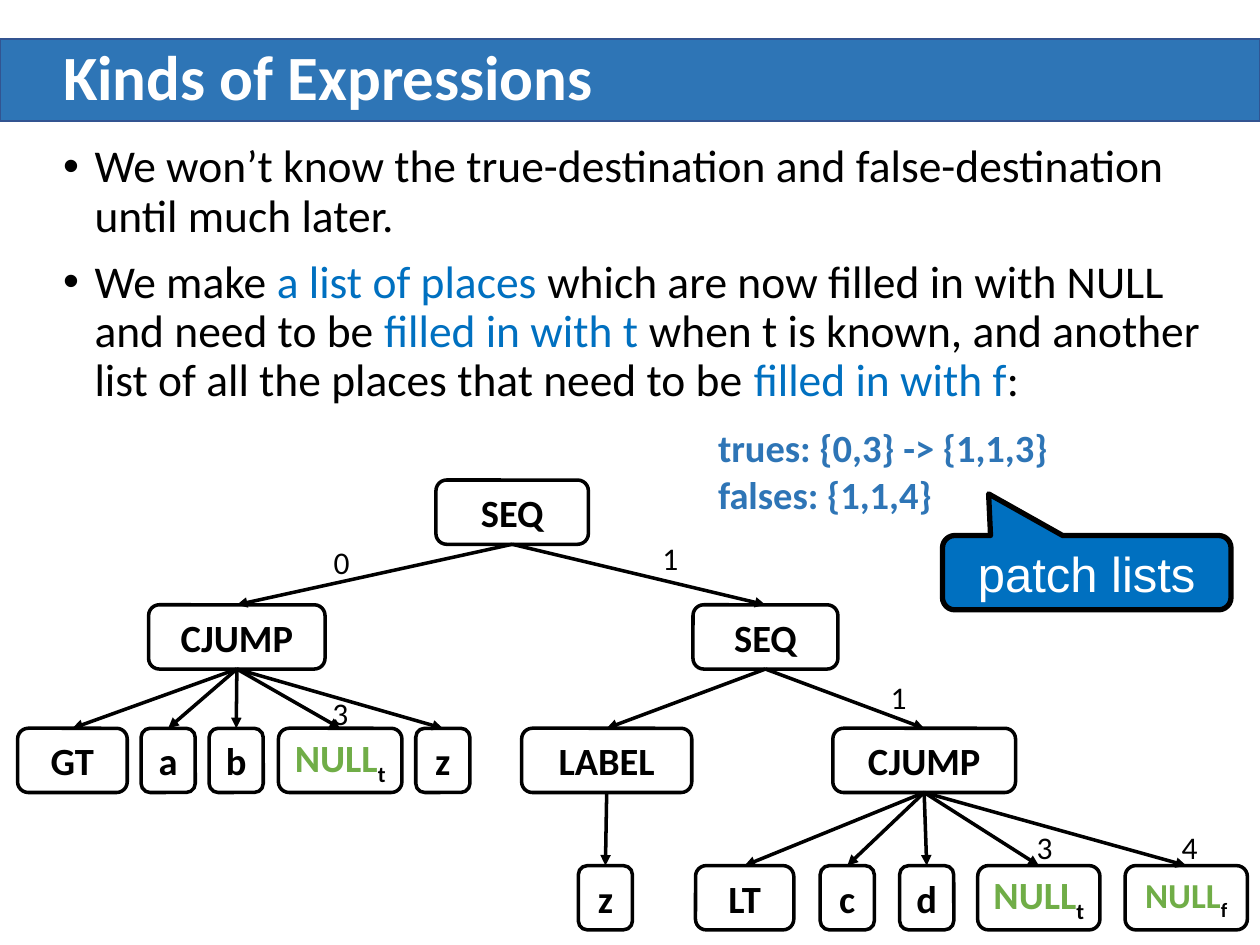
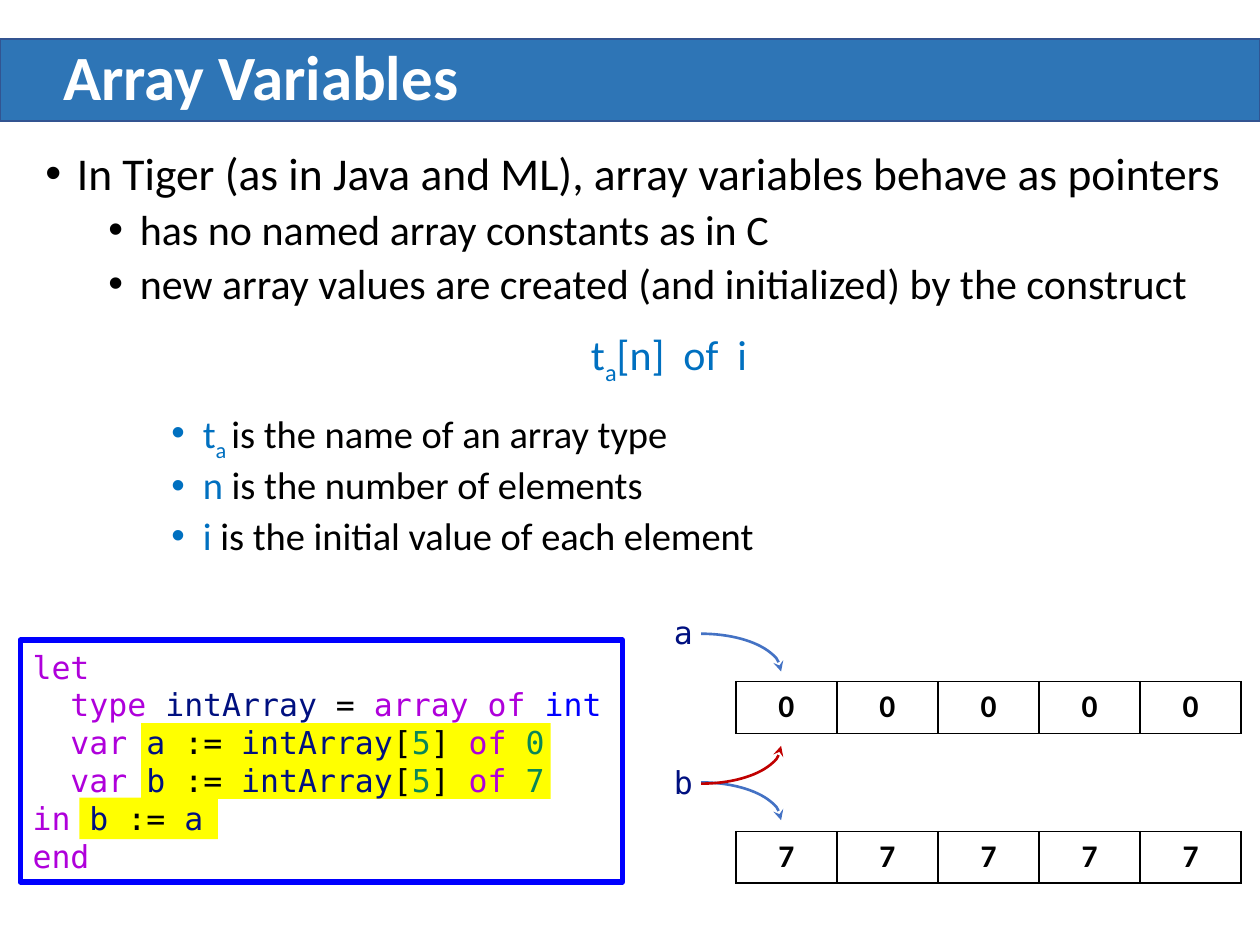
"""Build two lecture slides: patch lists in an expression tree, and array variables."""
from lxml.etree import SubElement
from pptx import Presentation
from pptx.dml.color import RGBColor
from pptx.enum.shapes import MSO_CONNECTOR, MSO_SHAPE
from pptx.enum.text import MSO_ANCHOR, MSO_AUTO_SIZE, PP_ALIGN
from pptx.oxml.ns import qn
from pptx.util import Inches, Pt

WIDE, HIGH = 10, 7.5
FONT, MONO = "Calibri", "DejaVu Sans Mono"
HUES = {
    "black": "000000", "white": "FFFFFF", "band": "2E75B6", "edge": "325491",
    "blue": "0070C0", "green": "70AD47", "red": "C00000", "arc": "4472C4",
    "mark": "FFFF00", "type": "0000FF", "key": "AF00DB", "name": "001080",
    "num": "098658",
}

PATCH = [
    (0, 26, [("We won’t know the true-destination and false-destination until much later.", "black")]),
    (0, 26, [
        ("We make ", "black"), ("a list of places ", "blue"),
        ("which are now filled in with NULL and need to be ", "black"),
        ("filled in with t ", "blue"),
        ("when t is known, and another list of all the places that need to be ", "black"),
        ("filled in with f", "blue"), (":", "black"),
    ]),
]
ARRAY = [
    (0, 26, [("In Tiger (as in Java and ML), array variables behave as pointers", "black")]),
    (1, 24, [("has no named array constants as in C", "black")]),
    (1, 24, [("new array values are created (and initialized) by the construct", "black")]),
    ("formula", 24, [("t", "blue"), ("a", "blue", "sub"), ("[n]  of  i", "blue")]),
    (2, 22, [("t", "blue"), ("a ", "blue", "sub"), ("is the name of an array type", "black")]),
    (2, 22, [("n ", "blue"), ("is the number of elements", "black")]),
    (2, 22, [("i ", "blue"), ("is the initial value of each element", "black")]),
]

ROWS = [3.81, 4.8, 5.78, 6.87]
TALL = 0.51
TREE = {
    "root": ("SEQ", 0, 3.46, 1.21, None),
    "jump": ("CJUMP", 1, 1.18, 1.4, "root"),
    "gt": ("GT", 2, 0.14, 0.87, "jump"),
    "a": ("a", 2, 1.12, 0.43, "jump"),
    "b": ("b", 2, 1.66, 0.43, "jump"),
    "true": ("NULL t", 2, 2.21, 0.98, "jump"),
    "end": ("z", 2, 3.3, 0.43, "jump"),
    "seq": ("SEQ", 1, 5.5, 1.15, "root"),
    "label": ("LABEL", 2, 4.14, 1.35, "seq"),
    "z": ("z", 3, 4.59, 0.43, "label"),
    "test": ("CJUMP", 2, 6.61, 1.45, "seq"),
    "lt": ("LT", 3, 5.52, 0.78, "test"),
    "c": ("c", 3, 6.51, 0.43, "test"),
    "d": ("d", 3, 7.14, 0.43, "test"),
    "next": ("NULL t", 3, 7.76, 0.97, "test"),
    "false": ("NULL f", 3, 8.93, 0.97, "test"),
}
STEPS = [("0", 2.55, 4.26), ("1", 5.16, 4.23), ("1", 6.97, 5.33),
         ("3", 2.54, 5.46), ("3", 8.13, 6.52), ("4", 9.28, 6.52)]
LISTS = ["trues: {0,3} -> {1,1,3}", "falses: {1,1,4}"]


def make(var, num):
    """Return the runs of one array declaration."""
    return [("  var ", "key"), (var + " ", "name"), (":= ", "black"),
            ("intArray", "name"), ("[", "black"), ("5", "num"),
            ("] ", "black"), ("of ", "key"), (num, "num")]


CODE = [
    [("let", "key")],
    [("  type ", "key"), ("intArray", "name"), (" = ", "black"),
     ("array of ", "key"), ("int", "type")],
    make("a", "0"),
    make("b", "7"),
    [("in ", "key"), ("b ", "name"), (":= ", "black"), ("a", "name")],
    [("end", "key")],
]
MARKS = [(0.63, 6.33, 1.1, 0.33), (1.12, 5.74, 3.25, 0.6)]
CELLS, COLS = (5.84, 4.01, 0.41), 5
STORE = [("a", "0", 4.82), ("b", "7", 6.01)]
ARCS = [(5.03, "arc", False), (6.21, "arc", False), (5.62, "red", True)]


def hue(key):
    """Return a named colour."""
    return RGBColor.from_string(HUES[key])


def span(*box):
    """Turn inches into lengths."""
    return [Inches(v) for v in box]


def write(par, runs, size, bold=False, font=FONT):
    """Add runs of (text, colour, optional subscript) to a paragraph."""
    for text, key, *sub in runs:
        run = par.add_run()
        run.text = text
        run.font.size, run.font.bold, run.font.name = Pt(size), bold, font
        run.font.color.rgb = hue(key)
        if sub:
            run.font.element.set("baseline", "-25000") if hasattr(run.font, "element") \
                else run._r.get_or_add_rPr().set("baseline", "-25000")


def fill(frame, lines, size, align=PP_ALIGN.LEFT, **style):
    """Write lines of runs into a text frame."""
    frame.word_wrap = True
    for i, runs in enumerate(lines):
        par = frame.add_paragraph() if i else frame.paragraphs[0]
        par.alignment = align
        write(par, runs, size, **style)


def shape(slide, kind, box, back=None, line=None, width=1):
    """Add a preset shape with the given fill and outline."""
    item = slide.shapes.add_shape(kind, *span(*box))
    item.shadow.inherit = False
    if back:
        item.fill.solid()
        item.fill.fore_color.rgb = hue(back)
    else:
        item.fill.background()
    if line:
        item.line.color.rgb, item.line.width = hue(line), Pt(width)
    else:
        item.line.fill.background()
    item.text_frame.vertical_anchor = MSO_ANCHOR.MIDDLE
    return item


def note(slide, box, lines, size, **style):
    """Add a text box."""
    fill(slide.shapes.add_textbox(*span(*box)).text_frame, lines, size, **style)


def head(item, kind):
    """Put an arrowhead at the end of a line."""
    SubElement(item.element.spPr.find(qn("a:ln")), qn("a:tailEnd"), type=kind)


def place(holder, box):
    """Move a placeholder and stop its text from shrinking."""
    holder.left, holder.top, holder.width, holder.height = span(*box)
    holder.text_frame.auto_size = MSO_AUTO_SIZE.NONE
    return holder.text_frame


def start(deck, title, points, box):
    """Add a slide with band, title and bullet list."""
    slide = deck.slides.add_slide(deck.slide_layouts[1])
    band = shape(slide, MSO_SHAPE.RECTANGLE, (0, 0.31, WIDE, 0.65), "band", "edge")
    band.element.getparent().insert(2, band.element)
    frame = place(slide.shapes.title, (0.4, 0.31, 9.24, 0.65))
    frame.vertical_anchor = MSO_ANCHOR.MIDDLE
    fill(frame, [[(title, "white")]], 36, bold=True)
    frame.paragraphs[0].line_spacing = 0.9
    frame = place(slide.placeholders[1], box)
    for i, (level, size, runs) in enumerate(points):
        par = frame.add_paragraph() if i else frame.paragraphs[0]
        plain = level == "formula"
        par.level = 1 if plain else level
        par.line_spacing = 0.9
        gap = 12 if plain else 5 if level else 10
        par.space_before, par.space_after = Pt(gap if i else 0), Pt(12 if plain else 0)
        par.alignment = PP_ALIGN.CENTER if plain else PP_ALIGN.LEFT
        props = par._p.get_or_add_pPr()
        props.set("marL", str(Inches(0.5 if plain else 0.25 + 0.5 * level)))
        props.set("indent", str(Inches(0 if plain else -0.25)))
        if plain:
            SubElement(props, qn("a:buNone"))
        else:
            SubElement(props, qn("a:buFont"), typeface="Arial")
            SubElement(props, qn("a:buChar"), char="•")
        write(par, runs, size)
    return slide


def link(slide, top, low):
    """Draw an arrow from the foot of one node to the top of another."""
    line = slide.shapes.add_connector(MSO_CONNECTOR.STRAIGHT, 0, 0, 0, 0)
    line.begin_connect(top, 2)
    line.end_connect(low, 0)
    line.line.color.rgb, line.line.width = hue("black"), Pt(2)
    head(line, "triangle")
    SubElement(line.element.spPr, qn("a:effectLst"))


def draw_tree(slide):
    """Draw the nodes, arrows and step numbers."""
    nodes = {}
    for key, (label, row, left, width, _) in TREE.items():
        node = shape(slide, MSO_SHAPE.ROUNDED_RECTANGLE,
                     (left, ROWS[row], width, TALL), None, "black", 2)
        word, _, sub = label.partition(" ")
        runs = [(word, "green"), (sub, "black", "sub")] if sub else [(word, "black")]
        fill(node.text_frame, [runs], 20 if sub == "f" else 22, PP_ALIGN.CENTER, bold=True)
        nodes[key] = node
    for key, (*_, top) in TREE.items():
        if top:
            link(slide, nodes[top], nodes[key])
    for text, left, top in STEPS:
        note(slide, (left, top, 0.33, 0.4), [[(text, "black")]], 18)


def draw_cells(slide, value, top):
    """Draw one array as a row of bordered cells."""
    left, width, high = CELLS
    table = slide.shapes.add_table(1, COLS, *span(left, top, width, high)).table
    table.first_row = table.horz_banding = False
    for cell in table.iter_cells():
        cell.fill.background()
        fill(cell.text_frame, [[(value, "black")]], 18, PP_ALIGN.CENTER, bold=True)
        props = cell._tc.get_or_add_tcPr()
        for i, side in enumerate("LRTB"):
            line = SubElement(props, qn("a:ln" + side), w=str(Pt(1)))
            paint = SubElement(line, qn("a:solidFill"))
            SubElement(paint, qn("a:srgbClr"), val=HUES["black"])
            props.insert(i, line)


def draw_store(slide):
    """Draw the two arrays and the pointers to them."""
    for name, value, top in STORE:
        draw_cells(slide, value, top + 0.59)
        note(slide, (5.25, top, 0.37, 0.4), [[(name, "name")]], 18, font=MONO)
    for top, key, flip in ARCS:
        arc = shape(slide, MSO_SHAPE.ARC, (4.93, top, 1.27, 0.6), None, key, 1.5)
        head(arc, "stealth")
        if flip:
            arc.element.spPr.find(qn("a:xfrm")).set("flipV", "1")


def main():
    """Build and save the deck."""
    deck = Presentation()
    deck.slide_width, deck.slide_height = span(WIDE, HIGH)

    slide = start(deck, "Kinds of Expressions", PATCH, (0.4, 1.09, 9.24, 2.41))
    draw_tree(slide)
    note(slide, (5.6, 3.32, 3.32, 0.84), [[(text, "band")] for text in LISTS], 22, bold=True)
    call = shape(slide, MSO_SHAPE.ROUNDED_RECTANGULAR_CALLOUT,
                 (7.48, 4.25, 2.29, 0.59), "blue", "black", 3)
    call.adjustments[0], call.adjustments[1] = -0.34, -1.06
    fill(call.text_frame, [[("patch lists", "white")]], 28, PP_ALIGN.CENTER, font="Arial")

    slide = start(deck, "Array Variables", ARRAY, (0.26, 1.15, 9.6, 5.66))
    for box in MARKS:
        shape(slide, MSO_SHAPE.RECTANGLE, box, "mark")
    code = shape(slide, MSO_SHAPE.RECTANGLE, (0.16, 5.08, 4.78, 1.92), None, "type", 3)
    fill(code.text_frame, CODE, 18, font=MONO)
    draw_store(slide)

    deck.save("out.pptx")


if __name__ == "__main__":
    main()
